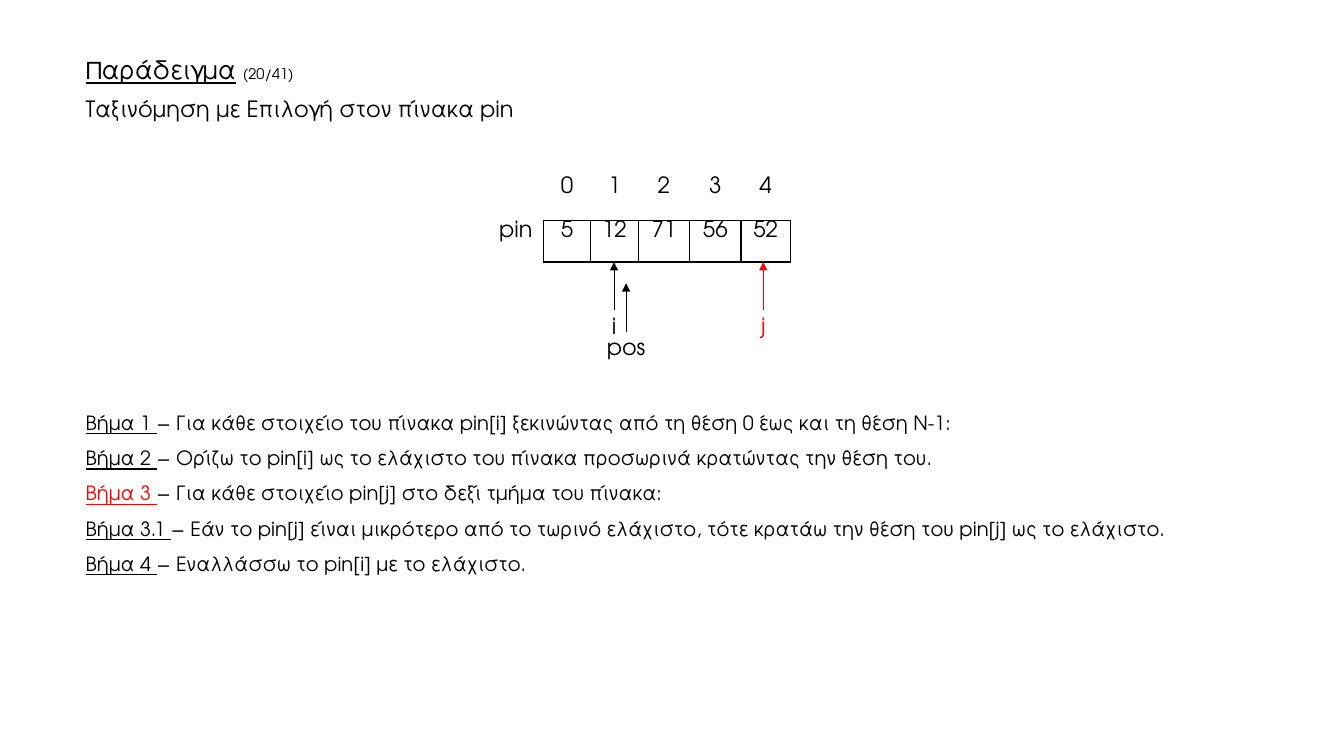
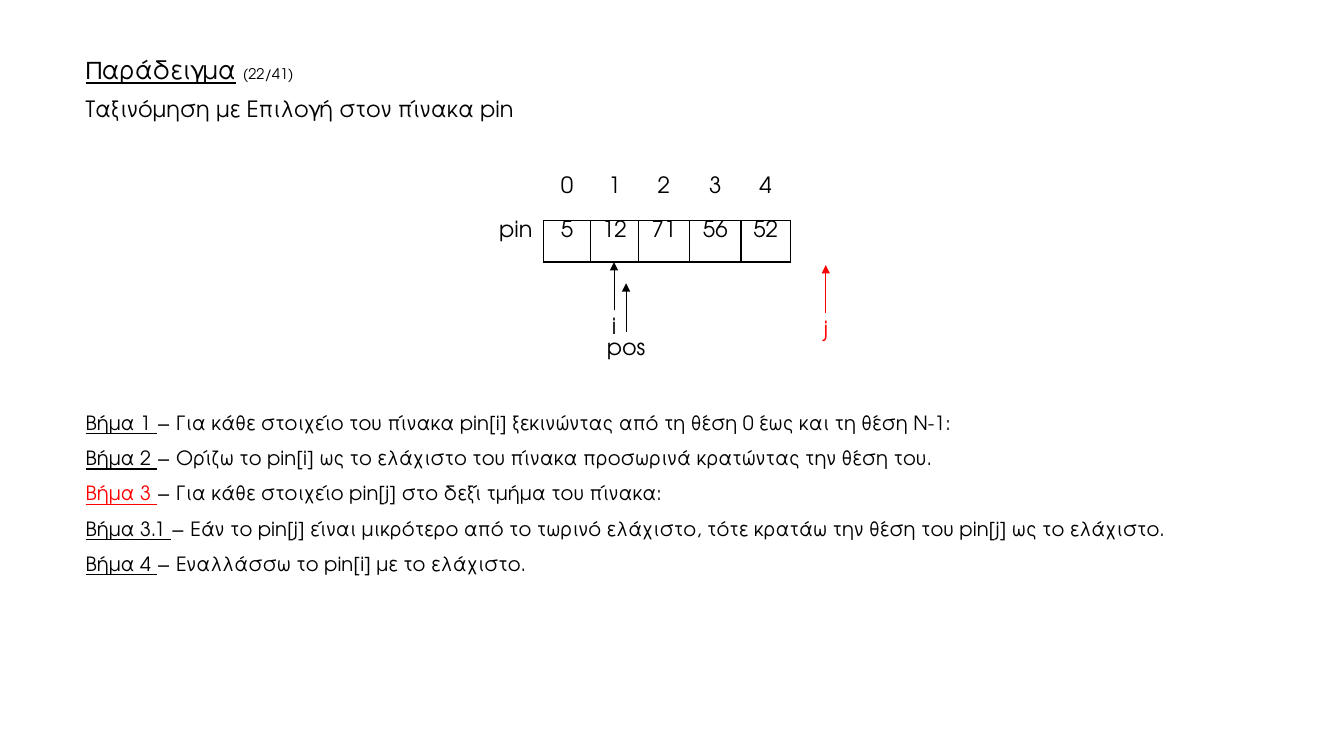
from itertools import accumulate
from lxml import etree
from pptx import Presentation, util as u
from pptx.dml.color import RGBColor
from pptx.enum import shapes, text
from pptx.oxml import ns

COLORS = {"ink": "000000", "active": "FF0000", "paper": "FFFFFF"}
FONT = "TeX Gyre Adventor"
HEADING = "Παράδειγμα"
SUBTITLE = "Ταξινόμηση με Επιλογή στον πίνακα pin"
STEPS = [
    ("1", "Για κάθε στοιχείο του πίνακα pin[i] ξεκινώντας από τη θέση 0 έως και τη θέση Ν-1:"),
    ("2", "Ορίζω το pin[i] ως το ελάχιστο του πίνακα προσωρινά κρατώντας την θέση του."),
    ("3", "Για κάθε στοιχείο pin[j] στο δεξί τμήμα του πίνακα:"),
    ("3.1", "Εάν το pin[j] είναι μικρότερο από το τωρινό ελάχιστο, τότε κρατάω την θέση του pin[j] ως το ελάχιστο."),
    ("4", "Εναλλάσσω το pin[i] με το ελάχιστο."),
]
ACTIVE_STEP = "3"
ARRAY_NAME = "pin"
VALUES = [5, 12, 71, 56, 52]
FRAMES = [
    {"number": "(20/41)", "j": (7.57, 3.08)},
    {"number": "(22/41)", "j": (8.19, 3.11)},
]

SLIDE_SIZE = (13.33, 7.5)
MARGIN = 0.75
TABLE_LEFT, TABLE_TOP = 4.84, 1.76
COLUMNS = [0.55, 0.47, 0.47, 0.51, 0.51, 0.49]
ROWS = [0.43, 0.41]
EDGES = [TABLE_LEFT, *(TABLE_LEFT + width for width in accumulate(COLUMNS))]
I_CENTRE = round((EDGES[2] + EDGES[3]) / 2, 2)
POINTER_TOP, POINTER_STEP, ARROW_LENGTH = 3.08, 0.21, 0.48
PLAIN_STYLE = "{2D5ABB26-0587-4C30-8999-92F81FD0307C}"


def color(name):
    return RGBColor.from_string(COLORS[name])


def add_span(para, words, size, ink="ink", underline=False):
    span = para.add_run()
    span.text = words
    for key, value in {"name": FONT, "size": u.Pt(size), "underline": underline}.items():
        setattr(span.font, key, value)
    span.font.color.rgb = color(ink)


def add_text(page, area, paras, line_spacing, gap=0, align=text.PP_ALIGN.LEFT,
             fit=text.MSO_AUTO_SIZE.NONE):
    box = page.shapes.add_textbox(*map(u.Inches, area))
    frame = box.text_frame
    frame.word_wrap = True
    frame.auto_size = fit
    for index, spans in enumerate(paras):
        para = frame.add_paragraph() if index else frame.paragraphs[0]
        look = {"alignment": align, "line_spacing": line_spacing,
                "space_before": u.Pt(gap if index else 0)}
        for key, value in look.items():
            setattr(para, key, value)
        for span in spans:
            add_span(para, *span)
    return box


def set_borders(cell, sides):
    properties = cell._tc.get_or_add_tcPr()
    for side in "LRTB":
        line = etree.SubElement(properties, ns.qn(f"a:ln{side}"), w=str(u.Pt(1)))
        if side in sides:
            fill = etree.SubElement(line, ns.qn("a:solidFill"))
            etree.SubElement(fill, ns.qn("a:srgbClr"), val=COLORS["ink"])
        else:
            etree.SubElement(line, ns.qn("a:noFill"))


def add_array(page):
    grid = [["", *range(len(VALUES))], [ARRAY_NAME, *VALUES]]
    borders = [["", *["B"] * len(VALUES)], ["R", *["LRTB"] * len(VALUES)]]
    area = (TABLE_LEFT, TABLE_TOP, sum(COLUMNS), sum(ROWS))
    table = page.shapes.add_table(len(ROWS), len(COLUMNS), *map(u.Inches, area)).table
    table.first_row = table.horz_banding = False
    table._tbl.tblPr.find(ns.qn("a:tableStyleId")).text = PLAIN_STYLE
    for column, width in zip(table.columns, COLUMNS):
        column.width = u.Inches(width)
    for r, height in enumerate(ROWS):
        table.rows[r].height = u.Inches(height)
        for c, words in enumerate(grid[r]):
            cell = table.cell(r, c)
            for side in ("left", "right", "top", "bottom"):
                setattr(cell, f"margin_{side}", 0)
            set_borders(cell, borders[r][c])
            cell.fill.background()
            para = cell.text_frame.paragraphs[0]
            para.alignment = text.PP_ALIGN.CENTER
            if words != "":
                add_span(para, str(words), 16)


def add_pointer(page, name, centre, top, width=0.24, ink="ink"):
    label = add_text(page, (centre - width / 2, top, width, 0.36),
                     [[(name, 16, ink)]], 0.9, align=text.PP_ALIGN.CENTER)
    arrow = page.shapes.add_connector(
        shapes.MSO_CONNECTOR.STRAIGHT,
        *map(u.Inches, (centre, top, centre, top - ARROW_LENGTH)))
    arrow.begin_connect(label, 0)
    arrow.line.color.rgb = color(ink)
    arrow.line.width = u.Pt(0.5)
    etree.SubElement(arrow.line._get_or_add_ln(), ns.qn("a:tailEnd"), type="triangle")
    etree.SubElement(arrow._element.spPr, ns.qn("a:effectLst"))


def add_frame(deck, number, j):
    page = deck.slides.add_slide(deck.slide_layouts[6])
    steps = [[(f"Βήμα {label} ", 14, "active" if label == ACTIVE_STEP else "ink", True),
              (f"− {words}", 14)] for label, words in STEPS]
    add_text(page, (MARGIN, 3.91, 11.53, 1.82), steps, 1.5,
             fit=text.MSO_AUTO_SIZE.SHAPE_TO_FIT_TEXT)
    title = [[(HEADING, 18, "ink", True), (" ", 18), (number, 10.5)], [(SUBTITLE, 16)]]
    add_text(page, (MARGIN, 0.52, 10.79, 0.77), title, 0.9, gap=10)
    add_array(page)
    add_pointer(page, "i", I_CENTRE, POINTER_TOP)
    add_pointer(page, "pos", I_CENTRE + 0.12, POINTER_TOP + POINTER_STEP, width=0.98)
    add_pointer(page, "j", *j, ink="active")


def main():
    deck = Presentation()
    deck.slide_width, deck.slide_height = map(u.Inches, SLIDE_SIZE)
    background = deck.slide_master.background.fill
    background.solid()
    background.fore_color.rgb = color("paper")
    for frame in FRAMES:
        add_frame(deck, **frame)
    deck.save("out.pptx")


if __name__ == "__main__":
    main()
